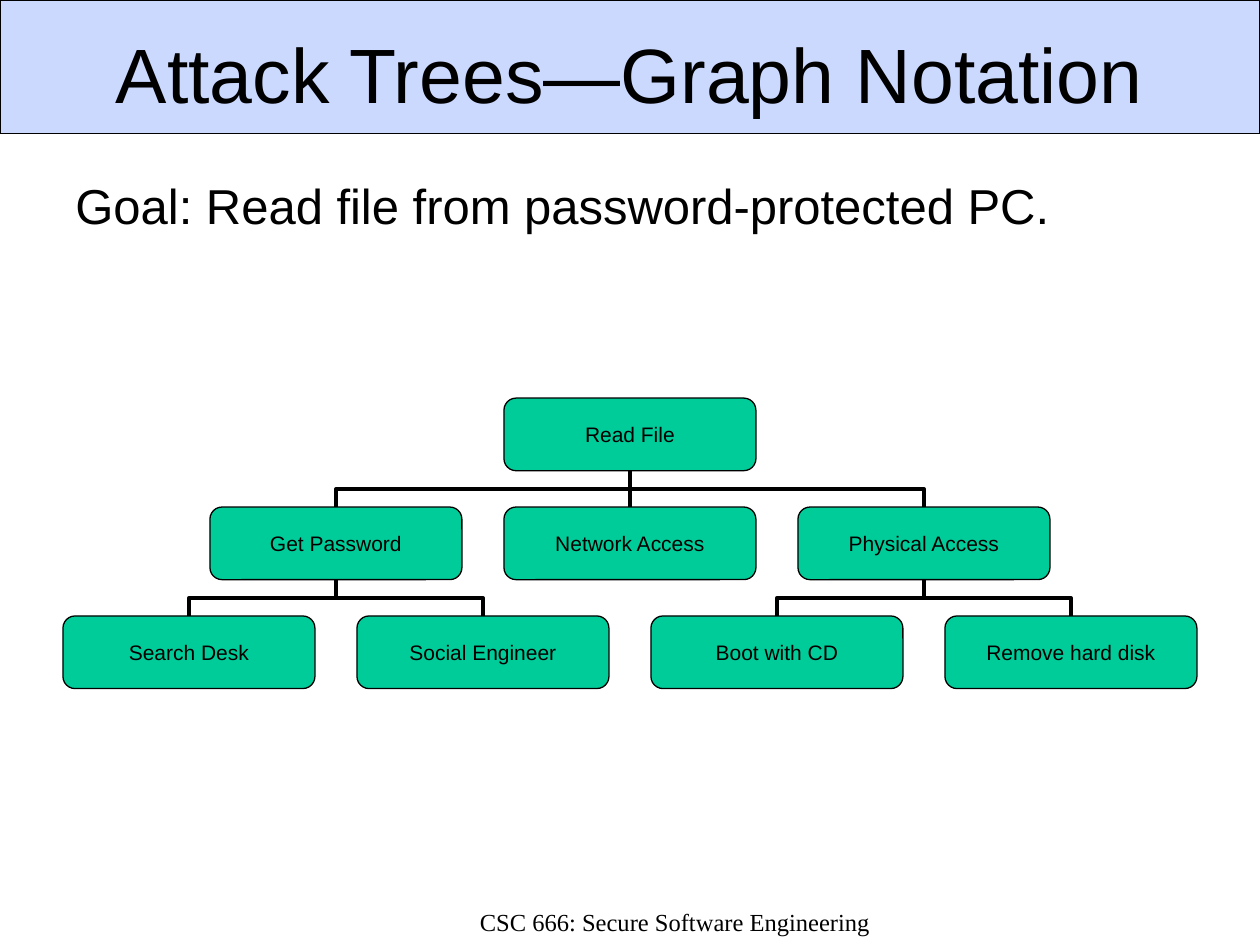
from dataclasses import dataclass

from lxml.etree import SubElement
from pptx import Presentation
from pptx.dml.color import RGBColor
from pptx.enum.shapes import MSO_CONNECTOR, MSO_SHAPE
from pptx.enum.text import MSO_ANCHOR, PP_ALIGN
from pptx.oxml.ns import qn
from pptx.util import Pt


@dataclass(frozen=True)
class Theme:
    band: RGBColor = RGBColor(0xCC, 0xD9, 0xFF)
    node: RGBColor = RGBColor(0x00, 0xCC, 0x99)
    ink: RGBColor = RGBColor(0x00, 0x00, 0x00)
    sans: str = "Arial"
    serif: str = "Times New Roman"
    title: int = 44
    body: int = 28
    footer: int = 14
    label: int = 12
    outline: float = 0.75
    branch: float = 2.25


theme = Theme()


def write(sp, text, size, align, font=theme.sans, anchor=MSO_ANCHOR.TOP, wrap=True):
    tf = sp.text_frame
    tf.text = text
    tf.word_wrap = wrap
    tf.vertical_anchor = anchor
    p = tf.paragraphs[0]
    p.alignment = align
    p.font.name = font
    p.font.size = Pt(size)
    p.font.color.rgb = theme.ink
    return p


def add_box(shape, left, top, width, height, fill):
    sp = s.shapes.add_shape(shape, Pt(left), Pt(top), Pt(width), Pt(height))
    sp.shadow.inherit = False
    sp.fill.solid()
    sp.fill.fore_color.rgb = fill
    sp.line.color.rgb = theme.ink
    sp.line.width = Pt(theme.outline)
    return sp


prs = Presentation()
prs.slide_width, prs.slide_height = Pt(720), Pt(540)
s = prs.slides.add_slide(prs.slide_layouts[5])

band = add_box(MSO_SHAPE.RECTANGLE, 0, 0, 720, 76.3, theme.band)
s.shapes._spTree.insert(2, band._element)

title = s.shapes.title
title.left, title.top, title.width, title.height = Pt(36), Pt(11.5), Pt(648), Pt(60)
write(title, "Attack Trees—Graph Notation", theme.title, PP_ALIGN.CENTER, anchor=MSO_ANCHOR.MIDDLE)

goal = s.shapes.add_textbox(Pt(36), Pt(96.5), Pt(641.5), Pt(78))
p = write(goal, "Goal: Read file from password-protected PC.", theme.body, PP_ALIGN.LEFT)
p.space_before = Pt(8)
pPr = p._p.get_or_add_pPr()
pPr.set("marL", str(Pt(27)))
pPr.set("indent", str(Pt(-27)))

footer = s.shapes.add_textbox(Pt(266.5), Pt(515), Pt(238.5), Pt(25))
write(footer, "CSC 666: Secure Software Engineering", theme.footer, PP_ALIGN.CENTER, theme.serif)

left, top = 36, 227.5
node_w, node_h = 144, 41.5
col_pitch, row_pitch = 168, 62.25
gap = row_pitch - node_h

tree = [
    ("Read File", 0, 1.5, None),
    ("Get Password", 1, 0.5, "Read File"),
    ("Network Access", 1, 1.5, "Read File"),
    ("Physical Access", 1, 2.5, "Read File"),
    ("Search Desk", 2, 0, "Get Password"),
    ("Social Engineer", 2, 1, "Get Password"),
    ("Boot with CD", 2, 2, "Physical Access"),
    ("Remove hard disk", 2, 3, "Physical Access"),
]

nodes, cols = {}, {}
for name, row, col, parent in tree:
    x, y = left + col * col_pitch, top + row * row_pitch
    sp = add_box(MSO_SHAPE.ROUNDED_RECTANGLE, x, y, node_w, node_h, theme.node)
    sp.adjustments[0] = 0.167
    write(sp, name, theme.label, PP_ALIGN.CENTER, anchor=MSO_ANCHOR.MIDDLE, wrap=False)
    nodes[name], cols[name] = sp, col
    if parent is None:
        continue

    offset = (col - cols[parent]) * col_pitch
    kind = MSO_CONNECTOR.ELBOW if offset else MSO_CONNECTOR.STRAIGHT
    branch = s.shapes.add_connector(kind, 0, 0, 0, 0)
    branch.begin_connect(sp, 0)
    branch.end_connect(nodes[parent], 2)
    branch.line.color.rgb = theme.ink
    branch.line.width = Pt(theme.branch)
    spPr = branch._element.spPr
    SubElement(spPr, qn("a:effectLst"))
    if offset:
        mid_x = x + node_w / 2 - offset / 2
        mid_y = y - gap / 2
        branch.left, branch.top = Pt(mid_x - gap / 2), Pt(mid_y - abs(offset) / 2)
        branch.width, branch.height = Pt(gap), Pt(abs(offset))
        xfrm = spPr.find(qn("a:xfrm"))
        xfrm.set("rot", "5400000" if offset > 0 else "16200000")
        xfrm.set("flipH", "1" if offset > 0 else "0")
        xfrm.set("flipV", "0")

prs.save("out.pptx")
